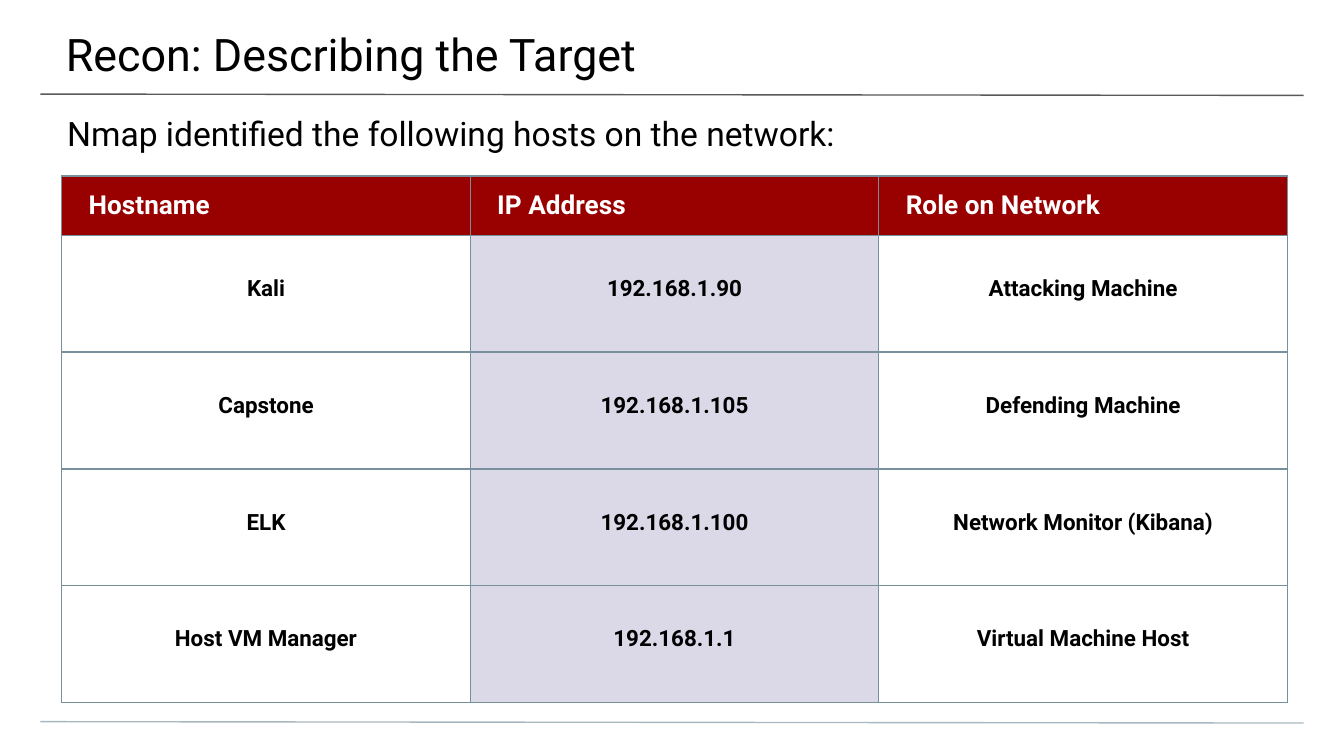
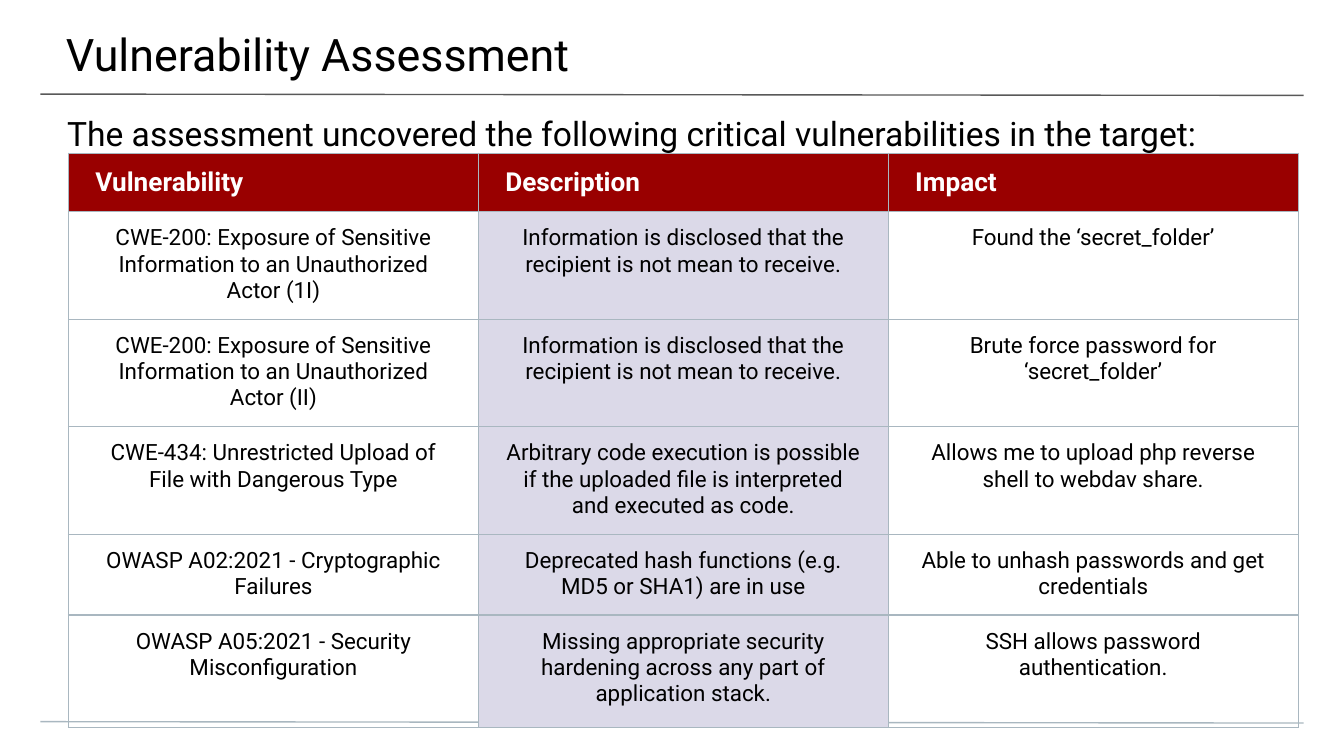
from dataclasses import dataclass

from lxml import etree
from pptx import Presentation
from pptx import util as u
from pptx.dml import color
from pptx.enum import shapes, text
from pptx.oxml import ns


@dataclass(frozen=True)
class Theme:
    font: str = "Roboto"
    ink: str = "000000"
    white: str = "FFFFFF"
    red: str = "990000"
    lilac: str = "DBD9E8"
    slate: str = "78909C"
    mist: str = "A9B7C0"
    rule: str = "595959"
    line: float = 0.75
    title: int = 24
    lead: int = 18
    head: int = 14
    body: int = 12


T = Theme()
LEFT, MID = text.PP_ALIGN.LEFT, text.PP_ALIGN.CENTER
TOP, CENTER = text.MSO_ANCHOR.TOP, text.MSO_ANCHOR.MIDDLE


def rgb(value):
    return color.RGBColor.from_string(value)


def write(frame, words, size, tint=T.ink, bold=False, align=LEFT):
    para = frame.paragraphs[0]
    para.alignment = align
    run = para.add_run()
    run.text = words
    font = run.font
    font.name, font.size, font.bold = T.font, u.Pt(size), bold
    font.color.rgb = rgb(tint)


def inset(item, left, top, right, bottom):
    item.margin_left, item.margin_top = u.Inches(left), u.Inches(top)
    item.margin_right, item.margin_bottom = u.Inches(right), u.Inches(bottom)


def place(shape, box):
    shape.left, shape.top, shape.width, shape.height = map(u.Inches, box)


def rule(slide, y, tint):
    ends = map(u.Inches, (0.3, y, 9.7, y + 0.01))
    line = slide.shapes.add_connector(shapes.MSO_CONNECTOR.STRAIGHT, *ends)
    line.line.color.rgb = rgb(tint)
    line.line.width = u.Pt(T.line)
    etree.SubElement(line._element.spPr, ns.qn("a:effectLst"))


def heading(slide, words, box):
    title = slide.shapes.title
    place(title, box)
    frame = title.text_frame
    frame.auto_size = text.MSO_AUTO_SIZE.NONE
    frame.word_wrap = True
    frame.vertical_anchor = TOP
    inset(frame, 0.5, 0.2, 0.3, 0.1)
    write(frame, words, T.title)


def lead(slide, words, box):
    frame = slide.shapes.add_textbox(*map(u.Inches, box)).text_frame
    frame.word_wrap = True
    inset(frame, 0.5, 0.1, 0.5, 0)
    write(frame, words, T.lead)


def border(cell, tint):
    props = cell._tc.get_or_add_tcPr()
    for side in ("lnL", "lnR", "lnT", "lnB"):
        edge = etree.SubElement(props, ns.qn(f"a:{side}"), w=str(u.Pt(T.line)))
        fill = etree.SubElement(edge, ns.qn("a:solidFill"))
        etree.SubElement(fill, ns.qn("a:srgbClr"), val=tint)


def paint(cell, tint):
    if tint:
        cell.fill.solid()
        cell.fill.fore_color.rgb = rgb(tint)
    else:
        cell.fill.background()


def grid(slide, rows, box, wide, tall, tint, bold=False, pad=0.1):
    frame = slide.shapes.add_table(len(rows), len(rows[0]), *map(u.Inches, box))
    table = frame.table
    table.first_row = table.horz_banding = False
    for col in table.columns:
        col.width = u.Inches(wide)
    for r, (row, high) in enumerate(zip(rows, tall)):
        table.rows[r].height = u.Inches(high)
        for c, words in enumerate(row):
            cell = table.cell(r, c)
            border(cell, tint)
            if r == 0:
                paint(cell, T.red)
                cell.vertical_anchor = CENTER
                inset(cell, 0.2, 0.1, 0.2, 0.1)
                write(cell.text_frame, words, T.head, tint=T.white, bold=True)
            else:
                paint(cell, T.lilac if c == 1 else None)
                cell.vertical_anchor = TOP
                inset(cell, 0.2, pad, 0.2, 0.1)
                write(cell.text_frame, words, T.body, bold=bold, align=MID)
    place(frame, box)


def page(deck, title, intro, rows, spot, wide, tall, **style):
    slide = deck.slides.add_slide(deck.slide_layouts[5])
    rule(slide, 0.7, T.rule)
    rule(slide, 5.37, T.mist)
    heading(slide, title, (-0.01, 0, 10.03, 0.58))
    lead(slide, intro, (0, 0.74, 10, 0.4))
    grid(slide, rows, (*spot, 3.28, 3.28), wide, tall, **style)


HOSTS = [
    ("Hostname", "IP Address", "Role on Network"),
    ("Kali", "192.168.1.90", "Attacking Machine"),
    ("Capstone", "192.168.1.105", "Defending Machine"),
    ("ELK", "192.168.1.100", "Network Monitor (Kibana)"),
    ("Host VM Manager", "192.168.1.1", "Virtual Machine Host"),
]
LEAK = "CWE-200: Exposure of Sensitive Information to an Unauthorized Actor"
TOLD = "Information is disclosed that the recipient is not mean to receive."
FLAWS = [
    ("Vulnerability", "Description", "Impact"),
    (f"{LEAK} (1I)", TOLD, "Found the ‘secret_folder’"),
    (f"{LEAK} (II)", TOLD, "Brute force password for ‘secret_folder’"),
    ("CWE-434: Unrestricted Upload of File with Dangerous Type",
     "Arbitrary code execution is possible if the uploaded file is interpreted and executed as code.",
     "Allows me to upload php reverse shell to webdav share."),
    ("OWASP A02:2021 - Cryptographic Failures",
     "Deprecated hash functions (e.g. MD5 or SHA1) are in use",
     "Able to unhash passwords and get credentials"),
    ("OWASP A05:2021 - Security Misconfiguration",
     "Missing appropriate security hardening across any part of application stack.",
     "SSH allows password authentication."),
]


def main():
    deck = Presentation()
    deck.slide_width = u.Inches(10)
    deck.slide_height = deck.slide_width * 9 // 16
    page(deck, "Recon: Describing the Target",
         "Nmap identified the following hosts on the network:",
         HOSTS, (0.46, 1.31), 3.04, [0.44] + [0.87] * 4,
         tint=T.slate, bold=True, pad=0.3)
    page(deck, "Vulnerability Assessment",
         "The assessment uncovered the following critical vulnerabilities in the target:",
         FLAWS, (0.51, 1.14), 3.05, [0.39, 0.74, 0.6, 0.7, 0.48, 0.84],
         tint=T.mist)
    deck.save("out.pptx")


if __name__ == "__main__":
    main()
